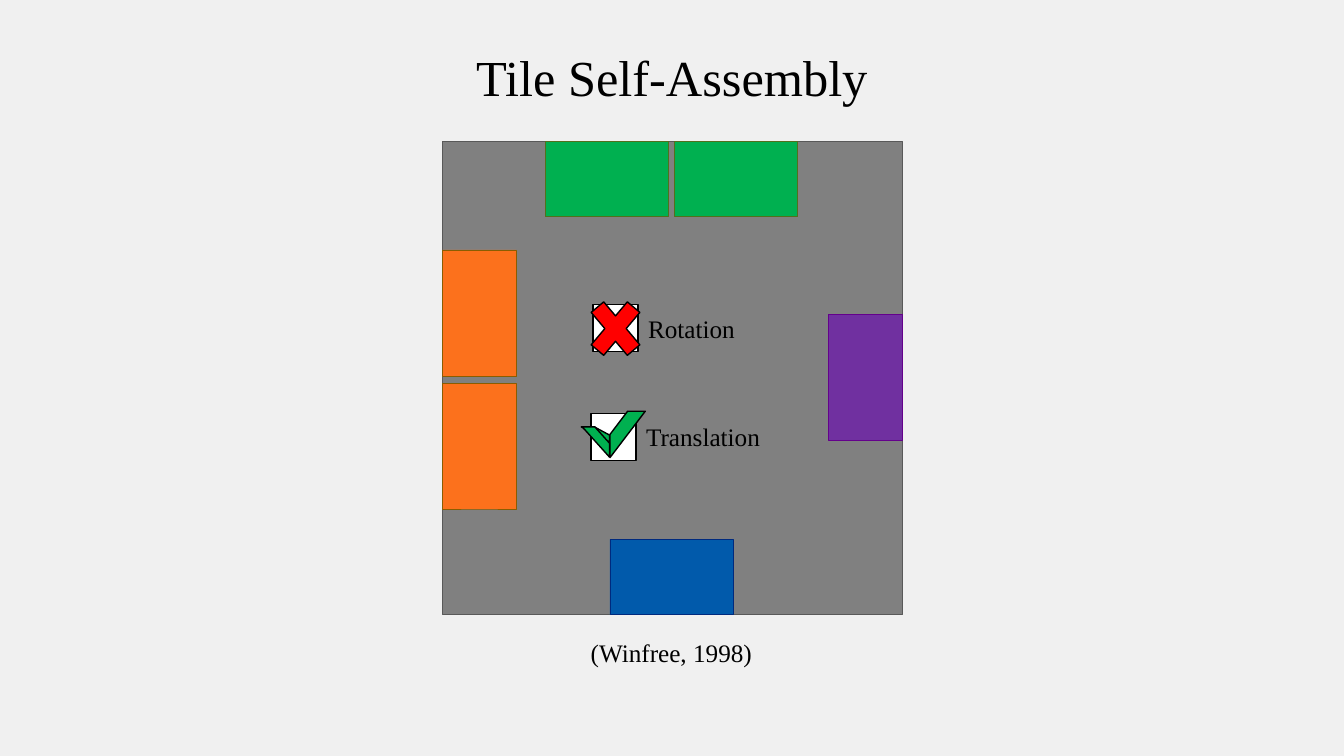
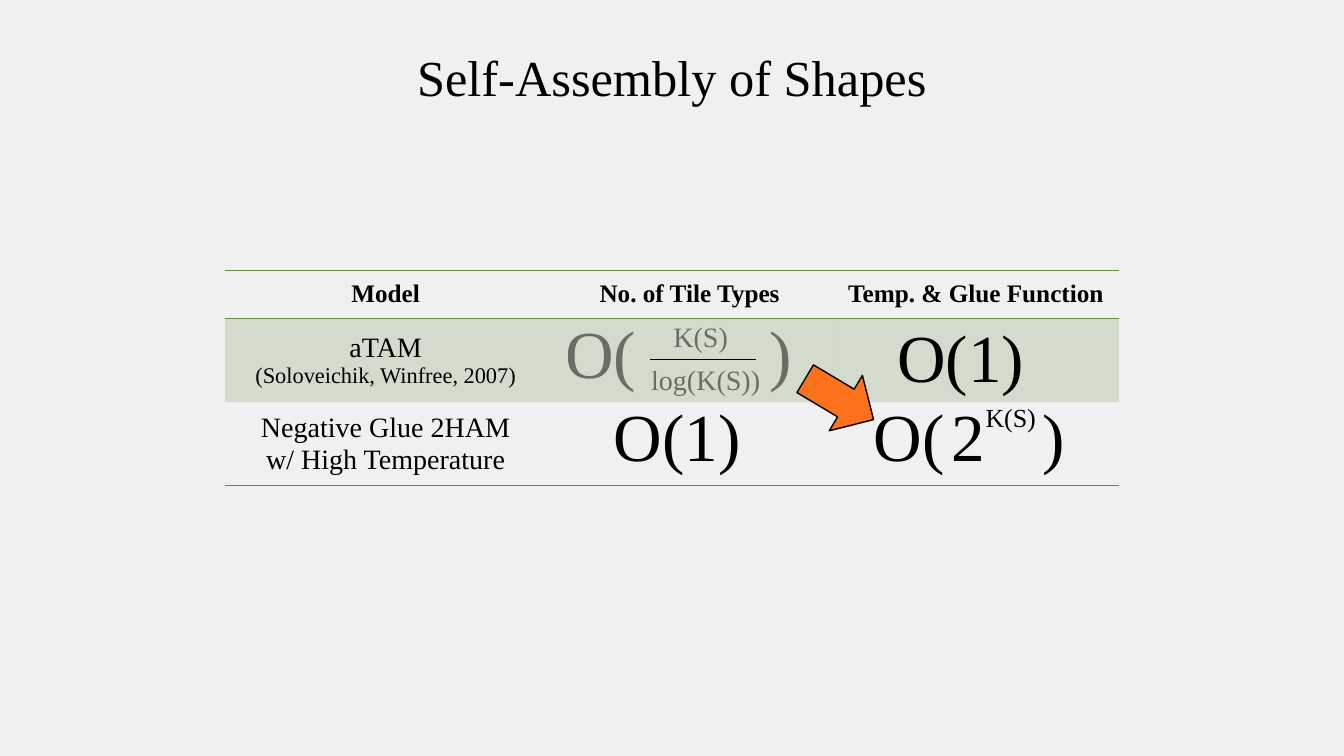
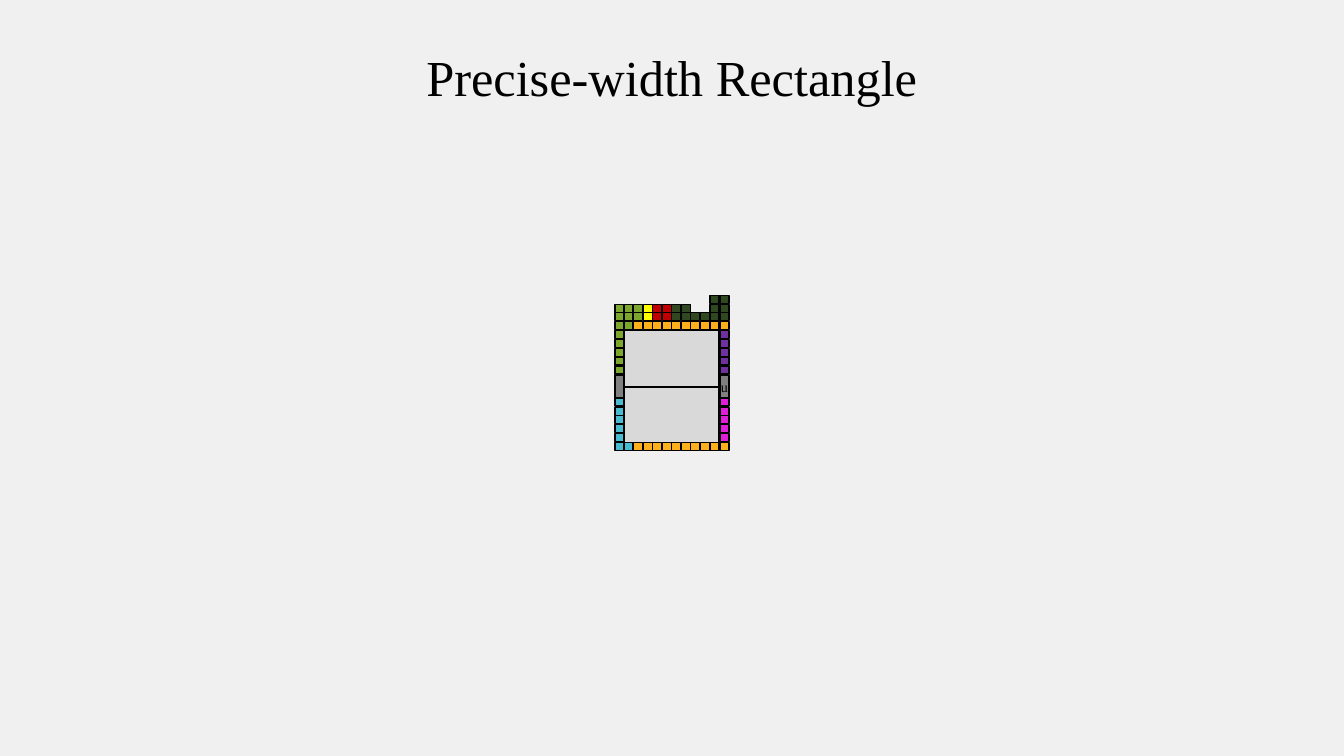
from dataclasses import dataclass
from typing import Any, Optional

from lxml import etree
from pptx import Presentation
from pptx import util as u
from pptx.dml import color as dml
from pptx.enum import shapes, text
from pptx.oxml import ns
from pptx.shapes import shapetree as tree

PX = 9144  # EMU in one px: 100 px to the inch
WIDE, HIGH = 1333, 750
KIND = shapes.MSO_SHAPE
MID = text.PP_ALIGN.CENTER
NO_STYLE = "{2D5ABB26-0587-4C30-8999-92F81FD0307C}"


@dataclass(frozen=True)
class Theme:
    font: str = "Times New Roman"
    page: str = "F0F0F0"
    ink: str = "000000"
    white: str = "FFFFFF"
    gray: str = "808080"
    edge: str = "595959"
    pale: str = "D9D9D9"
    blue: str = "015AAB"
    navy: str = "002A7E"
    purple: str = "7030A0"
    plum: str = "64018B"
    green: str = "00B050"
    olive: str = "536F1D"
    orange: str = "FC711C"
    brown: str = "8A5D02"
    red: str = "FF0000"
    rule: str = "608F3D"
    lime: str = "7DA62C"
    aqua: str = "49BBD1"
    pink: str = "E01ED7"
    amber: str = "FCB11C"
    yellow: str = "FFFF00"
    wine: str = "C00000"
    moss: str = "30481F"
    title: int = 36
    math: int = 48
    power: int = 32
    large: int = 20
    body: int = 18
    cite: int = 16
    tiny: int = 10
    thin: float = 0.5
    line: float = 1


T = Theme()


@dataclass(frozen=True)
class Box:
    x: int
    y: int
    w: int
    h: int

    def emu(self) -> list[u.Emu]:
        return [u.Emu(n * PX) for n in (self.x, self.y, self.w, self.h)]


@dataclass(frozen=True)
class Part:
    """A preset shape with its look."""
    box: Box
    fill: str
    line: str = T.ink
    width: float = T.line
    kind: KIND = KIND.RECTANGLE
    turn: float = 0
    adj: Optional[float] = None


@dataclass(frozen=True)
class Run:
    text: str
    size: int
    base: int = 0


def rgb(code: str) -> dml.RGBColor:
    return dml.RGBColor.from_string(code)


def fade(node: Any, share: int) -> None:
    """Set the opacity, in percent, of the colours under a node."""
    for tint in node.iter(ns.qn("a:srgbClr")):
        etree.SubElement(tint, ns.qn("a:alpha"), val=str(share * 1000))


def put(para: Any, words: str, *, size: int = T.body, bold: bool = False,
        base: int = 0, alpha: int = 100, align: Any = None) -> None:
    """Add a run to a paragraph; base is the rise in percent."""
    if align is not None:
        para.alignment = align
    run = para.add_run()
    run.text = words
    font = run.font
    font.name, font.size, font.bold = T.font, u.Pt(size), bold
    font.color.rgb = rgb(T.ink)
    props = run._r.get_or_add_rPr()
    if base:
        props.set("baseline", str(base * 1000))
    if alpha < 100:
        fade(props, alpha)


def label(pen: tree.GroupShapes, box: Box, *runs: Run, wrap: bool = False,
          tab: int = 0, alpha: int = 100, align: Any = None) -> None:
    frame = pen.add_textbox(*box.emu()).text_frame
    frame.word_wrap = wrap
    frame.auto_size = text.MSO_AUTO_SIZE.SHAPE_TO_FIT_TEXT
    para = frame.paragraphs[0]
    if tab:
        stops = etree.SubElement(para._p.get_or_add_pPr(), ns.qn("a:tabLst"))
        etree.SubElement(stops, ns.qn("a:tab"), pos=str(tab * PX), algn="l")
    for run in runs:
        put(para, run.text, size=run.size, base=run.base, alpha=alpha, align=align)


def draw(pen: tree.GroupShapes, part: Part) -> Any:
    shape = pen.add_shape(part.kind, *part.box.emu())
    shape.shadow.inherit = False
    shape.rotation = part.turn
    if part.adj is not None:
        shape.adjustments[0] = part.adj
    shape.fill.solid()
    shape.fill.fore_color.rgb = rgb(part.fill)
    shape.line.color.rgb = rgb(part.line)
    shape.line.width = u.Pt(part.width)
    return shape


def bar(pen: tree.GroupShapes, x: int, y: int, end: int) -> None:
    """Draw a thin level line."""
    line = pen.add_connector(shapes.MSO_CONNECTOR.STRAIGHT,
                             *(u.Emu(n * PX) for n in (x, y, end, y)))
    line.line.color.rgb = rgb(T.ink)
    line.line.width = u.Pt(T.thin)
    etree.SubElement(line.element.spPr, ns.qn("a:effectLst"))


def page(deck: Any, title: str) -> tree.GroupShapes:
    """Add a titled slide and return its shapes."""
    pen = deck.slides.add_slide(deck.slide_layouts[6]).shapes
    label(pen, Box(0, 41, WIDE, 71), Run(title, T.title), wrap=True, align=MID)
    return pen


def tile(deck: Any) -> None:
    pen = page(deck, "Tile Self-Assembly")
    body = pen.add_group_shape().shapes
    glues = [
        Part(Box(439, 140, 456, 470), T.gray, T.edge, T.thin),
        Part(Box(605, 535, 122, 75), T.blue, T.navy, T.thin),
        Part(Box(822, 312, 73, 125), T.purple, T.plum, T.thin),
    ]
    for i in range(2):
        glues += [
            Part(Box(541 + 128 * i, 140, 122, 75), T.green, T.olive, T.thin),
            Part(Box(439, 248 + 132 * i, 73, 125), T.orange, T.brown, T.thin),
        ]
    for glue in glues:
        draw(body, glue)
    label(pen, Box(576, 627, 182, 40), Run("(Winfree, 1998)", T.body))

    stripe = KIND.DIAGONAL_STRIPE
    cross = [Part(Box(576, 285, 69, 82), T.red, kind=KIND.MATH_MULTIPLY)]
    check = [
        Part(Box(583, 417, 15, 28), T.green, kind=stripe, turn=90, adj=0.54),
        Part(Box(605, 408, 35, 46), T.green, kind=stripe),
        Part(Box(576, 425, 30, 27), T.green, kind=stripe, turn=90, adj=0.54),
    ]
    rules = [
        ("Rotation", Box(588, 302, 45, 47), Box(633, 306, 107, 40), cross),
        ("Translation", Box(586, 410, 45, 47), Box(631, 413, 134, 40), check),
    ]
    for name, square, spot, mark in rules:
        group = pen.add_group_shape().shapes
        draw(group, Part(square, T.white))
        label(group, spot, Run(name, T.body))
        for part in mark:
            draw(group, part)


def edge(cell: Any, side: str) -> None:
    """Rule one side of a cell: lnT or lnB."""
    line = etree.Element(ns.qn("a:" + side), w=str(u.Pt(T.line)))
    fill = etree.SubElement(line, ns.qn("a:solidFill"))
    etree.SubElement(fill, ns.qn("a:srgbClr"), val=T.rule)
    cell._tc.get_or_add_tcPr().insert(0, line)


def grid(pen: tree.GroupShapes) -> None:
    rows = [
        [[Run(name, T.body)] for name in
         ("Model", "No. of Tile Types", "Temp. & Glue Function")],
        [[Run("aTAM", T.large), Run("(Soloveichik, Winfree, 2007)", T.cite)], [], []],
        [[Run("Negative Glue 2HAM", T.large),
          Run("w/ High Temperature", T.large)], [], []],
    ]
    frame = pen.add_table(3, 3, *Box(223, 268, 887, 214).emu())
    table = frame.table
    table.first_row = table.horz_banding = False
    for style in frame.element.iter(ns.qn("a:tableStyleId")):
        style.text = NO_STYLE
    for col, wide in zip(table.columns, (319, 284, 284)):
        col.width = u.Emu(wide * PX)
    for row, high in zip(table.rows, (48, 83, 83)):
        row.height = u.Emu(high * PX)
    for r, row in enumerate(rows):
        for c, lines in enumerate(row):
            cell = table.cell(r, c)
            cell.vertical_anchor = text.MSO_ANCHOR.MIDDLE
            if r == 1:
                cell.fill.solid()
                cell.fill.fore_color.rgb = rgb(T.rule)
                fade(cell._tc.get_or_add_tcPr(), 20)
            else:
                cell.fill.background()
                edge(cell, "lnB")
            if r == 0:
                edge(cell, "lnT")
            for i, run in enumerate(lines):
                words = cell.text_frame
                para = words.add_paragraph() if i else words.paragraphs[0]
                put(para, run.text, size=run.size, bold=r == 0, align=MID)


def bounds(deck: Any) -> None:
    pen = page(deck, "Self-Assembly of Shapes")
    grid(pen)
    label(pen, Box(857, 386, 220, 91), Run("O(", T.math), Run(" ", T.large),
          Run("2", T.math), Run("K(S) ", T.power, 75), Run(")", T.math))
    draw(pen, Part(Box(793, 364, 79, 64), T.orange, kind=KIND.RIGHT_ARROW, turn=30.9))
    ratio = pen.add_group_shape().shapes
    label(ratio, Box(636, 355, 179, 44), Run("log(K(S))", T.large), wrap=True, alpha=50)
    bar(ratio, 645, 357, 750)
    label(ratio, Box(658, 312, 122, 44), Run("K(S)", T.large), wrap=True, alpha=50)
    label(ratio, Box(551, 304, 260, 91), Run("O(\t)", T.math), wrap=True, tab=202, alpha=50)
    for x, y in ((599, 386), (880, 308)):
        label(pen, Box(x, y, 147, 91), Run("O(1)", T.math))


def frame(deck: Any) -> None:
    pen = page(deck, "Precise-width Rectangle").add_group_shape().shapes
    for y in (328, 384):
        draw(pen, Part(Box(619, y, 94, 56), T.pale))
    for x, name in ((610, ""), (714, "u")):
        post = draw(pen, Part(Box(x, 372, 9, 23), T.gray))
        if name:
            words = post.text_frame
            words.word_wrap = False
            words.vertical_anchor = text.MSO_ANCHOR.MIDDLE
            words.margin_left = words.margin_right = 0
            put(words.paragraphs[0], name, size=T.tiny, align=MID)

    hues = {"g": T.lime, "y": T.yellow, "r": T.wine, "d": T.moss, "o": T.amber,
            "p": T.purple, "b": T.aqua, "m": T.pink}
    upper = ["..........dd", "gggyrrdd..dd", "gggyrrdddddd", "ggoooooooooo",
             *["g..........p"] * 5]
    lower = [*["b..........m"] * 5, "bboooooooooo"]
    for top, rows in ((293, upper), (395, lower)):
        for r, row in enumerate(rows):
            for c, key in enumerate(row):
                if key in hues:
                    spot = Box(610 + 104 * c // 11, round(top + 8.75 * r), 9, 8)
                    draw(pen, Part(spot, hues[key]))


def main() -> None:
    deck = Presentation()
    deck.slide_width, deck.slide_height = u.Emu(WIDE * PX), u.Emu(HIGH * PX)
    back = deck.slide_master.background.fill
    back.solid()
    back.fore_color.rgb = rgb(T.page)
    for build in (tile, bounds, frame):
        build(deck)
    deck.save("out.pptx")


if __name__ == "__main__":
    main()
